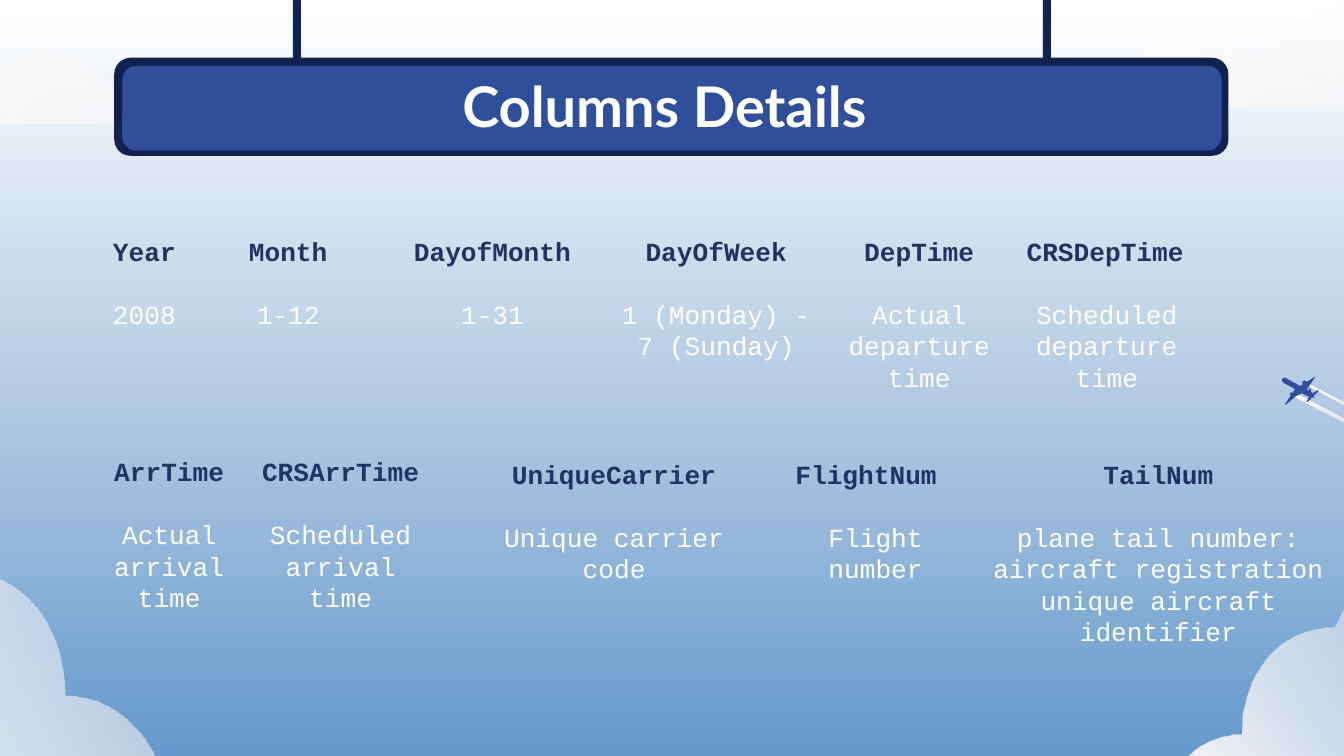
from dataclasses import dataclass

from lxml.etree import SubElement
from pptx import Presentation
from pptx.dml.color import RGBColor
from pptx.enum.shapes import MSO_SHAPE as Shape
from pptx.enum.text import MSO_ANCHOR as Anchor, MSO_AUTO_SIZE as AutoSize, PP_ALIGN as Align
from pptx.oxml.ns import qn
from pptx.util import Inches, Pt


@dataclass(frozen=True)
class Theme:
    """Colours, fonts and type sizes of the slide."""
    navy: str = "11224E"
    blue: str = "304F9B"
    heading: str = "213363"
    white: str = "FFFFFF"
    title_font: str = "Lato"
    body_font: str = "Courier New"
    title_size: int = 30
    body_size: int = 14
    value_gap: int = 17
    sky: tuple = ((0, "6599CC", 100), (47, "B2CAE3", 100), (100, "FFFFFF", 100))
    cloud: tuple = ((0, "FEFAF9", 18), (100, "FEFAF9", 100))
    trail: tuple = ((0, "FFFFFF", 100), (50, "FEFAF9", 10), (100, "FEFAF9", 0))


THEME = Theme()

CLOUDS = [
    [(-1.22, 0.11), (-1.22, 0.11, -0.71, -0.03, -0.11, 0.57), (0.34, 0.22, 0.62, 0.45, 0.87, 0.7),
     (1.35, 0.55, 1.5, 0.92, 1.5, 0.92), (-1.22, 0.92)],
    [(-1.56, 3.33), (-1.56, 3.33, -0.81, 3.21, -0.33, 4.24), (0.19, 4.24, 0.48, 4.67, 0.48, 5.17),
     (0.95, 5.17, 1.15, 5.62, 1.15, 5.62), (-1.56, 5.62)],
    [(10.97, 3.91), (10.97, 3.91, 10.33, 3.81, 9.93, 4.67), (9.49, 4.67, 9.24, 5.04, 9.24, 5.46),
     (8.85, 5.46, 8.68, 5.84, 8.68, 5.84), (10.97, 5.84)],
    [(10.52, -0.05), (10.52, -0.05, 9.99, -0.2, 9.36, 0.43), (8.88, 0.06, 8.58, 0.31, 8.32, 0.57),
     (7.81, 0.4, 7.66, 0.8, 7.66, 0.8), (10.52, 0.8)],
]

TRAILS = [
    [(11.16, 3.63), (11.18, 3.6), (9.73, 2.85), (9.71, 2.87)],
    [(11.08, 3.71), (11.1, 3.68), (9.65, 2.93), (9.63, 2.96)],
]

PLANE_PARTS = [
    [(9.56, 2.81), (9.57, 2.81, 9.57, 2.81, 9.58, 2.82), (9.6, 2.83, 9.68, 2.88, 9.71, 2.89),
     (9.73, 2.9, 9.75, 2.91, 9.77, 2.93), (9.78, 2.96), (9.75, 2.96, 9.71, 2.94, 9.71, 2.94),
     (9.71, 2.94, 9.58, 2.86, 9.55, 2.85), (9.53, 2.83, 9.54, 2.82, 9.54, 2.82),
     (9.55, 2.81, 9.56, 2.81, 9.56, 2.81)],
    [(9.64, 2.89), (9.7, 2.92), (9.64, 2.95), (9.57, 3.01), (9.56, 3.01)],
    [(9.61, 2.92), (9.62, 2.92, 9.63, 2.92, 9.62, 2.93), (9.62, 2.94, 9.62, 2.94, 9.61, 2.94),
     (9.61, 2.94, 9.6, 2.94, 9.6, 2.94), (9.59, 2.93, 9.6, 2.92, 9.61, 2.92)],
    [(9.75, 2.94), (9.76, 2.96), (9.73, 2.99), (9.72, 2.99)],
    [(9.79, 2.8), (9.73, 2.89), (9.7, 2.92), (9.66, 2.88)],
    [(9.71, 2.83), (9.71, 2.83, 9.72, 2.84, 9.72, 2.85), (9.72, 2.85, 9.72, 2.86, 9.71, 2.86),
     (9.71, 2.86, 9.7, 2.86, 9.7, 2.86), (9.69, 2.86, 9.69, 2.85, 9.69, 2.84),
     (9.7, 2.84, 9.7, 2.83, 9.71, 2.83)],
    [(9.81, 2.9), (9.81, 2.91), (9.77, 2.95), (9.76, 2.93)],
    [(9.74, 2.89), (9.75, 2.89), (9.76, 2.93), (9.74, 2.91)],
    [(9.62, 2.92), (9.63, 2.93), (9.62, 2.93)],
    [(9.71, 2.84), (9.73, 2.84), (9.72, 2.85)],
]

SIGN_PARTS = [
    ((0.85, 0.43, 8.29, 0.73), THEME.navy),
    ((0.91, 0.49, 8.18, 0.63), THEME.blue),
    ((7.76, -0.27, 0.06, 0.73), THEME.navy),
    ((2.18, -0.27, 0.06, 0.73), THEME.navy),
]

COLUMNS = [
    ("Year", "2008", (0.66, 1.7, 0.83, 0.81), Align.CENTER),
    ("Month", "1-12", (1.73, 1.7, 0.83, 0.81), Align.CENTER),
    ("DayofMonth", "1-31", (2.95, 1.7, 1.43, 0.81), Align.CENTER),
    ("DayOfWeek", "1 (Monday) - 7 (Sunday)", (4.51, 1.7, 1.64, 1.04), Align.CENTER),
    ("DepTime", "Actual departure time", (6.08, 1.7, 1.52, 1.28), Align.CENTER),
    ("CRSDepTime", "Scheduled departure time", (7.54, 1.7, 1.39, 1.28), Align.LEFT),
    ("ArrTime", "Actual arrival time", (0.66, 3.34, 1.2, 1.28), Align.CENTER),
    ("CRSArrTime", "Scheduled arrival time", (1.82, 3.34, 1.43, 1.28), Align.CENTER),
    ("UniqueCarrier", "Unique carrier code", (3.65, 3.36, 1.84, 1.28), Align.CENTER),
    ("FlightNum", "Flight number", (5.82, 3.36, 1.39, 1.04), Align.LEFT),
    ("TailNum", "plane tail number: aircraft registration unique aircraft identifier",
     (7.24, 3.36, 2.76, 1.51), Align.CENTER),
]


def set_all(target, values):
    """Set every named value on the target."""
    for name, value in values.items():
        setattr(target, name, value)


def apply_gradient(fill, properties, stops, angle):
    """Fill with a linear gradient of (position, colour, opacity) stops."""
    fill.solid()
    solid = properties.find(qn("a:solidFill"))
    gradient = properties.makeelement(qn("a:gradFill"), {"rotWithShape": "1"})
    stop_list = SubElement(gradient, qn("a:gsLst"))
    for position, colour, opacity in stops:
        stop = SubElement(stop_list, qn("a:gs"), pos=str(position * 1000))
        rgb = SubElement(stop, qn("a:srgbClr"), val=colour)
        SubElement(rgb, qn("a:alpha"), val=str(opacity * 1000))
    SubElement(gradient, qn("a:lin"), ang=str(angle * 60000), scaled="0")
    properties.replace(solid, gradient)


def paint(shape, colour):
    """Give a shape a plain fill without line or shadow."""
    shape.shadow.inherit = False
    shape.line.fill.background()
    shape.fill.solid()
    shape.fill.fore_color.rgb = RGBColor.from_string(colour)


def bend(shape, segments):
    """Join each three line segments that stand for a cubic curve."""
    lines = iter(list(shape._element.iter(qn("a:lnTo"))))
    for segment in segments:
        first = next(lines)
        if len(segment) == 6:
            first.tag = qn("a:cubicBezTo")
            for line in (next(lines), next(lines)):
                first.append(line[0])
                line.getparent().remove(line)


def add_outline(shapes, outline, colour=THEME.white):
    """Add a closed freeform of corners (x, y) and cubic curves (three points)."""
    points = [(Inches(x), Inches(y)) for segment in outline
              for x, y in zip(segment[::2], segment[1::2])]
    builder = shapes.build_freeform(*points[0])
    builder.add_line_segments(points[1:], close=True)
    shape = builder.convert_to_shape()
    bend(shape, outline[1:])
    paint(shape, colour)
    return shape


def add_gradient_outline(shapes, outline, stops, angle):
    """Add a closed freeform with a gradient fill."""
    shape = add_outline(shapes, outline)
    apply_gradient(shape.fill, shape._element.spPr, stops, angle)


def add_sign(slide):
    """Add the hanging sign board behind the title."""
    sign = slide.shapes.add_group_shape()
    for box, colour in SIGN_PARTS:
        paint(sign.shapes.add_shape(Shape.ROUNDED_RECTANGLE, *map(Inches, box)), colour)


def add_plane(slide):
    """Add the plane with its two trails."""
    plane = slide.shapes.add_group_shape()
    for outline in TRAILS:
        add_gradient_outline(plane.shapes, outline, THEME.trail, 90)
    for outline in PLANE_PARTS:
        add_outline(plane.shapes, outline, THEME.blue)


def write(paragraph, text, font, size, colour, bold, align):
    """Write one formatted run into a paragraph."""
    paragraph.alignment = align
    run = paragraph.add_run()
    run.text = text
    set_all(run.font, {"name": font, "size": Pt(size), "bold": bold})
    run.font.color.rgb = RGBColor.from_string(colour)


def place_title(slide, text):
    """Move the title placeholder onto the sign and write it."""
    title = slide.shapes.title
    slide.shapes._spTree.append(title._element)
    set_all(title, dict(zip(("left", "top", "width", "height"),
                            map(Inches, (0.78, 0.47, 8.43, 0.63)))))
    set_all(title.text_frame, {"vertical_anchor": Anchor.MIDDLE, "auto_size": AutoSize.NONE,
                               "margin_right": Inches(0.2)})
    write(title.text_frame.paragraphs[0], text, THEME.title_font, THEME.title_size,
          THEME.white, True, Align.CENTER)


def add_column(slide, name, meaning, box, align):
    """Add a column name with its meaning below."""
    frame = slide.shapes.add_textbox(*map(Inches, box)).text_frame
    set_all(frame, {"word_wrap": True, "auto_size": AutoSize.SHAPE_TO_FIT_TEXT})
    write(frame.paragraphs[0], name, THEME.body_font, THEME.body_size, THEME.heading, True, align)
    paragraph = frame.add_paragraph()
    paragraph.space_before = Pt(THEME.value_gap)
    write(paragraph, meaning, THEME.body_font, THEME.body_size, THEME.white, False, Align.CENTER)


def main():
    """Build and save the slide."""
    presentation = Presentation()
    set_all(presentation, {"slide_width": Inches(10), "slide_height": Inches(10) * 9 // 16})
    slide = presentation.slides.add_slide(presentation.slide_layouts[5])
    background = slide.background.fill
    background.solid()
    apply_gradient(background, slide._element.find(".//" + qn("p:bgPr")), THEME.sky, 270)
    for outline in CLOUDS:
        add_gradient_outline(slide.shapes, outline, THEME.cloud, 135)
    add_sign(slide)
    place_title(slide, "Columns Details")
    add_plane(slide)
    for column in COLUMNS:
        add_column(slide, *column)
    presentation.save("out.pptx")


if __name__ == "__main__":
    main()
